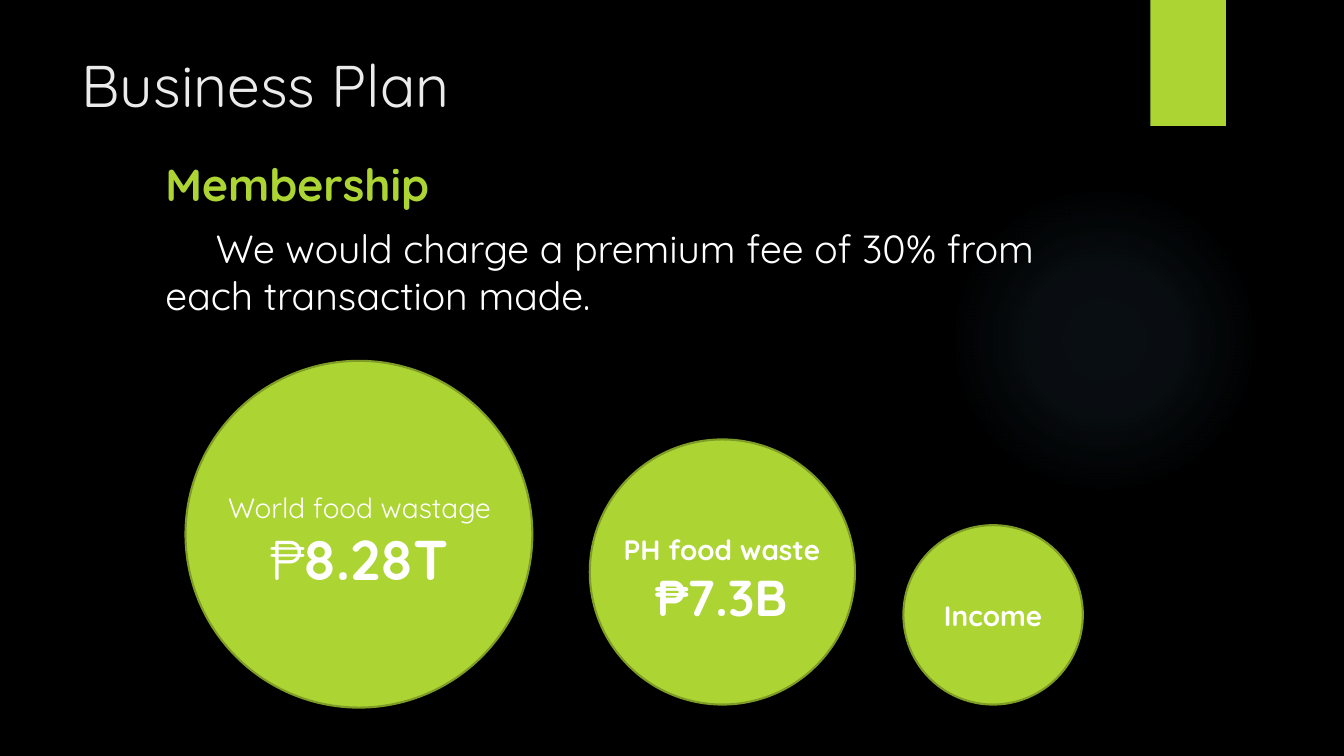
"""Build the Business Plan slide with its three food waste bubbles."""
from dataclasses import dataclass
from typing import Optional

import pptx
import pptx.dml.color
import pptx.enum.shapes
import pptx.enum.text
import pptx.oxml
import pptx.oxml.ns
import pptx.util

Inches = pptx.util.Inches
Pt = pptx.util.Pt
RGBColor = pptx.dml.color.RGBColor
Shape = pptx.enum.shapes.MSO_SHAPE
Align = pptx.enum.text.PP_ALIGN
Anchor = pptx.enum.text.MSO_ANCHOR
AutoSize = pptx.enum.text.MSO_AUTO_SIZE

BLACK = RGBColor(0x00, 0x00, 0x00)
WHITE = RGBColor(0xFF, 0xFF, 0xFF)
SMOKE = RGBColor(0xEB, 0xEB, 0xEB)
LIME = RGBColor(0xAC, 0xD4, 0x33)
OLIVE = RGBColor(0x7F, 0x9D, 0x26)
SKY = RGBColor(0x7A, 0xC4, 0xF0)
FONT = "Quicksand"
GLOW_STOPS = ((0, 7), (36, 6), (69, 0))


@dataclass(frozen=True)
class Span:
    text: str
    size: int
    bold: bool = False
    color: RGBColor = WHITE


@dataclass(frozen=True)
class Box:
    left: float
    top: float
    width: float
    height: float

    def lengths(self) -> tuple:
        return tuple(Inches(value) for value in (self.left, self.top, self.width, self.height))


@dataclass(frozen=True)
class Bubble:
    circle: Box
    lines: tuple
    caption: Optional[Box] = None


BUBBLES = (
    Bubble(Box(8.96, 5.21, 1.78, 1.78), ((Span("Income", 20, True),),)),
    Bubble(
        Box(1.84, 3.58, 3.44, 3.44),
        ((Span("World food wastage", 20),), (Span("₱", 40), Span("8.28T", 40, True))),
        Box(2.04, 4.82, 3.05, 1.11),
    ),
    Bubble(
        Box(5.85, 4.36, 2.63, 2.63),
        ((Span("PH food waste", 20, True),), (Span("₱7.3B", 36, True),)),
        Box(5.9, 5.23, 2.52, 1.04),
    ),
)


def write_lines(frame, lines: tuple, align) -> None:
    frame.word_wrap = True
    for index, spans in enumerate(lines):
        para = frame.add_paragraph() if index else frame.paragraphs[0]
        para.alignment = align
        for span in spans:
            run = para.add_run()
            run.text = span.text
            run.font.name = FONT
            run.font.size = Pt(span.size)
            run.font.bold = span.bold
            run.font.color.rgb = span.color


def add_filled(shapes, kind, box: Box, color: RGBColor):
    shape = shapes.add_shape(kind, *box.lengths())
    shape.shadow.inherit = False
    shape.fill.solid()
    shape.fill.fore_color.rgb = color
    shape.line.fill.background()
    return shape


def place(placeholder, box: Box) -> None:
    placeholder.left, placeholder.top, placeholder.width, placeholder.height = box.lengths()
    placeholder.text_frame.vertical_anchor = Anchor.TOP


def add_glow(page) -> None:
    glow = add_filled(page.shapes, Shape.OVAL, Box(9.41, 1.83, 3.08, 3.08), SKY)
    stops = "".join(
        f'<a:gs pos="{position * 1000}"><a:srgbClr val="{SKY}">'
        f'<a:alpha val="{alpha * 1000}"/></a:srgbClr></a:gs>'
        for position, alpha in GLOW_STOPS
    )
    gradient = pptx.oxml.parse_xml(
        f'<a:gradFill {pptx.oxml.ns.nsdecls("a")}><a:gsLst>{stops}</a:gsLst>'
        '<a:path path="circle"><a:fillToRect l="50000" t="50000" r="50000" b="50000"/>'
        "</a:path></a:gradFill>"
    )
    properties = glow.element.spPr
    properties.replace(properties.find(pptx.oxml.ns.qn("a:solidFill")), gradient)


def add_title(page) -> None:
    title = page.shapes.title
    place(title, Box(0.71, 0.43, 10.29, 1.53))
    write_lines(title.text_frame, ((Span("Business Plan", 42, color=SMOKE),),), Align.LEFT)


def add_body(page) -> None:
    body = page.placeholders[1]
    place(body, Box(1.04, 1.5, 9.78, 1.73))
    lines = (
        (Span("Membership", 32, True, LIME),),
        (Span("We would charge a premium fee of 30% from each transaction made.", 28),),
    )
    frame = body.text_frame
    write_lines(frame, lines, Align.LEFT)
    frame.auto_size = AutoSize.TEXT_TO_FIT_SHAPE
    for para, indent in zip(frame.paragraphs, (0, 0.5)):
        para.space_before = Pt(10)
        properties = para._p.get_or_add_pPr()
        properties.set("marL", str(Inches(0.5)))
        properties.set("indent", str(Inches(indent)))
        properties.append(pptx.oxml.parse_xml(f'<a:buNone {pptx.oxml.ns.nsdecls("a")}/>'))


def add_bubble(page, bubble: Bubble) -> None:
    shapes = page.shapes.add_group_shape().shapes if bubble.caption else page.shapes
    circle = add_filled(shapes, Shape.OVAL, bubble.circle, LIME)
    circle.line.color.rgb = OLIVE
    circle.line.width = Pt(1.5)
    holder = shapes.add_textbox(*bubble.caption.lengths()) if bubble.caption else circle
    write_lines(holder.text_frame, bubble.lines, Align.CENTER)


def main() -> None:
    deck = pptx.Presentation()
    deck.slide_width, deck.slide_height = Inches(13.33), Inches(7.5)
    page = deck.slides.add_slide(deck.slide_layouts[1])
    page.background.fill.solid()
    page.background.fill.fore_color.rgb = BLACK
    add_glow(page)
    add_filled(page.shapes, Shape.RECTANGLE, Box(11.41, 0, 0.75, 1.25), LIME)
    tree = page.shapes.element
    for placeholder in list(page.placeholders):
        tree.append(placeholder.element)
    add_title(page)
    add_body(page)
    for bubble in BUBBLES:
        add_bubble(page, bubble)
    deck.save("out.pptx")


if __name__ == "__main__":
    main()
